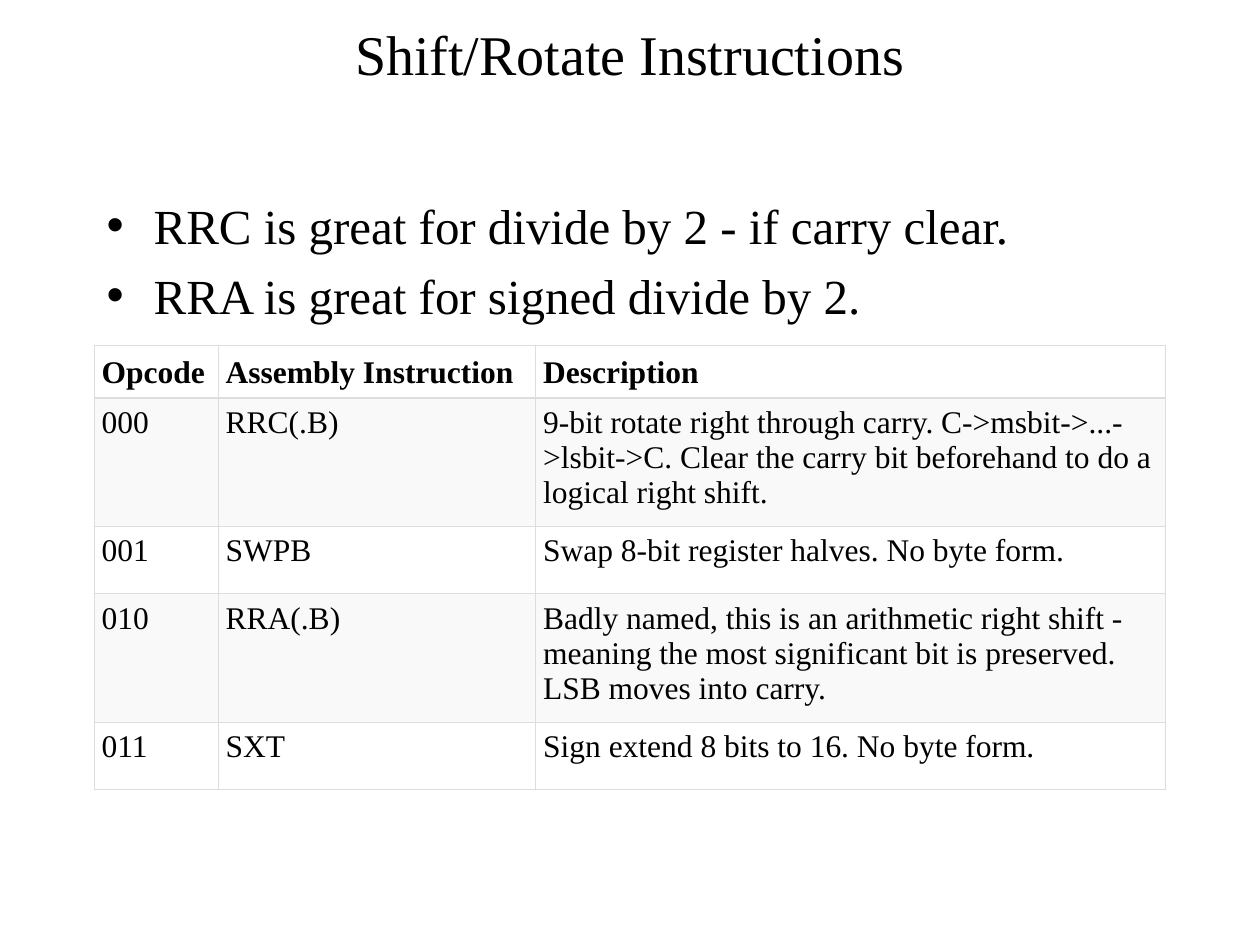
"""Builds the slide on shift and rotate instructions."""
import lxml.etree
import pptx
import pptx.dml.color
import pptx.enum.text
import pptx.oxml.ns
import pptx.util

Cm = pptx.util.Cm
Pt = pptx.util.Pt
Anchor = pptx.enum.text.MSO_ANCHOR
qn = pptx.oxml.ns.qn

FONT = "Times New Roman"
COLOURS = {"text": "000000", "plain": "FFFFFF", "stripe": "F9F9F9", "border": "DDDDDD"}
BULLETS = [
    "RRC is great for divide by 2 - if carry clear.",
    "RRA is great for signed divide by 2.",
]
INSTRUCTIONS = [
    ("Opcode", "Assembly Instruction", "Description"),
    ("000", "RRC(.B)", "9-bit rotate right through carry. C->msbit->...->lsbit->C. "
     "Clear the carry bit beforehand to do a logical right shift."),
    ("001", "SWPB", "Swap 8-bit register halves. No byte form."),
    ("010", "RRA(.B)", "Badly named, this is an arithmetic right shift - meaning the "
     "most significant bit is preserved. LSB moves into carry."),
    ("011", "SXT", "Sign extend 8 bits to 16. No byte form."),
]
COLUMN_WIDTHS = [2.5, 6.4, 12.7]
ROW_HEIGHTS = [1, 2.42, 1.36, 2.42, 1.36]


def colour(name):
    """Return the named colour as an RGB value."""
    return pptx.dml.color.RGBColor.from_string(COLOURS[name])


def add_span(para, text, size, bold=False):
    """Add one formatted run to a paragraph."""
    span = para.add_run()
    span.text = text
    span.font.name = FONT
    span.font.size = Pt(size)
    span.font.bold = bold
    span.font.color.rgb = colour("text")


def place_title(page, left, top, width, height):
    """Move the title placeholder and fill it."""
    title = page.shapes.title
    title.left, title.top, title.width, title.height = map(Cm, (left, top, width, height))
    title.text_frame.vertical_anchor = Anchor.MIDDLE
    para = title.text_frame.paragraphs[0]
    para.alignment = pptx.enum.text.PP_ALIGN.CENTER
    add_span(para, "Shift/Rotate Instructions", 32)


def add_bullets(page, left, top, width, height):
    """Add the bulleted remarks."""
    box = page.shapes.add_textbox(*map(Cm, (left, top, width, height)))
    frame = box.text_frame
    frame.word_wrap = True
    for index, text in enumerate(BULLETS):
        para = frame.add_paragraph() if index else frame.paragraphs[0]
        properties = para._p.get_or_add_pPr()
        properties.set("marL", str(Cm(0.95)))
        properties.set("indent", str(-Cm(0.95)))
        lxml.etree.SubElement(properties, qn("a:buFont"), typeface="Arial")
        lxml.etree.SubElement(properties, qn("a:buChar"), char="•")
        if index:
            para.space_before = Pt(6.5)
        add_span(para, text, 28)


def add_borders(cell):
    """Draw a thin line on each side of a cell."""
    properties = cell._tc.get_or_add_tcPr()
    for side in ("lnL", "lnR", "lnT", "lnB"):
        line = lxml.etree.SubElement(properties, qn(f"a:{side}"), w=str(Pt(0.75)))
        fill = lxml.etree.SubElement(line, qn("a:solidFill"))
        lxml.etree.SubElement(fill, qn("a:srgbClr"), val=COLOURS["border"])


def format_cell(cell, text, row):
    """Fill one cell with its text, borders and stripe."""
    add_borders(cell)
    cell.fill.solid()
    cell.fill.fore_color.rgb = colour("stripe" if row % 2 else "plain")
    cell.margin_left = cell.margin_right = Cm(0.15)
    cell.margin_top = cell.margin_bottom = Cm(0.15)
    cell.vertical_anchor = Anchor.TOP if row else Anchor.BOTTOM
    add_span(cell.text_frame.paragraphs[0], text, 18, bold=row == 0)


def add_instruction_table(page, left, top):
    """Add the table of opcodes."""
    size = (sum(COLUMN_WIDTHS), sum(ROW_HEIGHTS))
    table = page.shapes.add_table(
        len(ROW_HEIGHTS), len(COLUMN_WIDTHS), *map(Cm, (left, top, *size))
    ).table
    table.horz_banding = False
    for column, width in zip(table.columns, COLUMN_WIDTHS):
        column.width = Cm(width)
    for row, (height, texts) in enumerate(zip(ROW_HEIGHTS, INSTRUCTIONS)):
        table.rows[row].height = Cm(height)
        for column, text in enumerate(texts):
            format_cell(table.cell(row, column), text, row)


def main():
    """Build and save the deck."""
    deck = pptx.Presentation()
    deck.slide_width, deck.slide_height = Cm(25.4), Cm(19.05)
    page = deck.slides.add_slide(deck.slide_layouts[5])
    page.background.fill.solid()
    page.background.fill.fore_color.rgb = colour("plain")
    left, width = 1.9, 21.6
    place_title(page, left, 0.43, width, 1.27)
    add_bullets(page, left, 3.81, width, 13.13)
    add_instruction_table(page, left, 6.96)
    deck.save("out.pptx")


if __name__ == "__main__":
    main()
